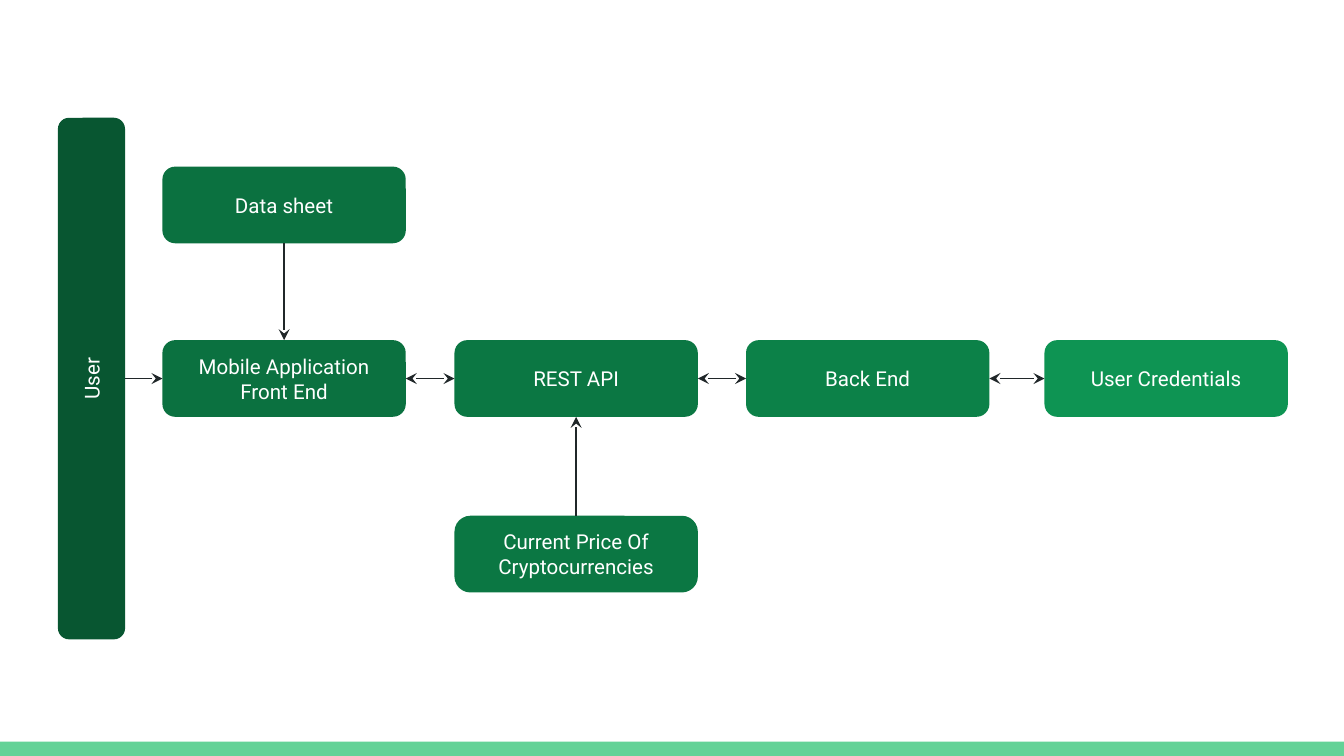
from dataclasses import dataclass

from lxml import etree
from pptx import Presentation
from pptx.dml.color import RGBColor
from pptx.enum.shapes import MSO_CONNECTOR, MSO_SHAPE
from pptx.enum.text import MSO_ANCHOR, PP_ALIGN
from pptx.oxml.ns import qn
from pptx.util import Cm, Pt

RECT, ROUNDED = MSO_SHAPE.RECTANGLE, MSO_SHAPE.ROUNDED_RECTANGLE
STRAIGHT = MSO_CONNECTOR.STRAIGHT
CENTER, MIDDLE = PP_ALIGN.CENTER, MSO_ANCHOR.MIDDLE
TOP, LEFT, BOTTOM, RIGHT = range(4)


@dataclass(frozen=True)
class Theme:
    font: str = "Roboto"
    size: int = 11
    line_width: float = 0.75
    text: str = "FFFFFF"
    line: str = "202729"
    footer: str = "63D297"
    user: str = "085631"
    front: str = "0B7140"
    api: str = "0B7743"
    back: str = "0C8148"
    credentials: str = "0E9453"


theme = Theme()


def add_box(slide, text, *, x, y, w, h, fill, shape=ROUNDED, corner=0.167, rotation=0):
    """Add a filled box, in centimetres; each line of text is a paragraph."""
    sp = slide.shapes.add_shape(shape, Cm(x), Cm(y), Cm(w), Cm(h))
    sp.shadow.inherit = False
    sp.rotation = rotation
    sp.fill.solid()
    sp.fill.fore_color.rgb = RGBColor.from_string(fill)
    sp.line.fill.background()
    if shape == ROUNDED:
        sp.adjustments[0] = corner
    tf = sp.text_frame
    tf.word_wrap = True
    tf.vertical_anchor = MIDDLE
    tf.margin_left = tf.margin_right = tf.margin_top = tf.margin_bottom = Cm(0.25)
    for i, line in enumerate(text.splitlines()):
        p = tf.paragraphs[0] if i == 0 else tf.add_paragraph()
        p.alignment = CENTER
        r = p.add_run()
        r.text = line
        r.font.name = theme.font
        r.font.size = Pt(theme.size)
        r.font.color.rgb = RGBColor.from_string(theme.text)
    return sp


prs = Presentation()
prs.slide_width, prs.slide_height = Cm(25.4), Cm(14.29)
slide = prs.slides.add_slide(prs.slide_layouts[6])

add_box(slide, "", x=0, y=14.02, w=25.4, h=0.27, fill=theme.footer, shape=RECT)

# Boxes: the user bar is a wide box turned on its side
box_w, box_h = 4.6, 1.45
columns = [3.07, 8.59, 14.1, 19.74]
upper, main, lower = 3.15, 6.43, 9.75
bar_length, bar_depth = 9.86, 1.27
bar_x, bar_y = 1.73, main + box_h / 2

boxes = {
    "user": add_box(slide, "User", x=bar_x - bar_length / 2, y=bar_y - bar_depth / 2,
                    w=bar_length, h=bar_depth, fill=theme.user, rotation=270)
}
for name, text, column, y, fill, corner in [
    ("front", "Mobile Application\nFront End", 0, main, theme.front, 0.167),
    ("back", "Back End", 2, main, theme.back, 0.167),
    ("credentials", "User Credentials", 3, main, theme.credentials, 0.167),
    ("api", "REST API", 1, main, theme.api, 0.167),
    ("prices", "Current Price Of Cryptocurrencies", 1, lower, theme.api, 0.208),
    ("data", "Data sheet", 0, upper, theme.front, 0.167),
]:
    boxes[name] = add_box(slide, text, x=columns[column], y=y, w=box_w, h=box_h,
                          fill=fill, corner=corner)

# Arrows: the bottom of the turned user bar faces right
for start, start_side, end, end_side, both_ways in [
    ("user", BOTTOM, "front", LEFT, False),
    ("front", RIGHT, "api", LEFT, True),
    ("api", RIGHT, "back", LEFT, True),
    ("back", RIGHT, "credentials", LEFT, True),
    ("prices", TOP, "api", BOTTOM, False),
    ("data", BOTTOM, "front", TOP, False),
]:
    cx = slide.shapes.add_connector(STRAIGHT, 0, 0, 0, 0)
    cx.begin_connect(boxes[start], start_side)
    cx.end_connect(boxes[end], end_side)
    if start == "user":
        cx.begin_x, cx.begin_y = Cm(bar_x + bar_depth / 2), cx.end_y
    cx.line.width = Pt(theme.line_width)
    cx.line.color.rgb = RGBColor.from_string(theme.line)
    ln = cx.line._get_or_add_ln()
    for tag in ["a:headEnd", "a:tailEnd"] if both_ways else ["a:tailEnd"]:
        etree.SubElement(ln, qn(tag), type="stealth", w="med", len="med")
    etree.SubElement(cx._element.spPr, qn("a:effectLst"))

prs.save("out.pptx")
